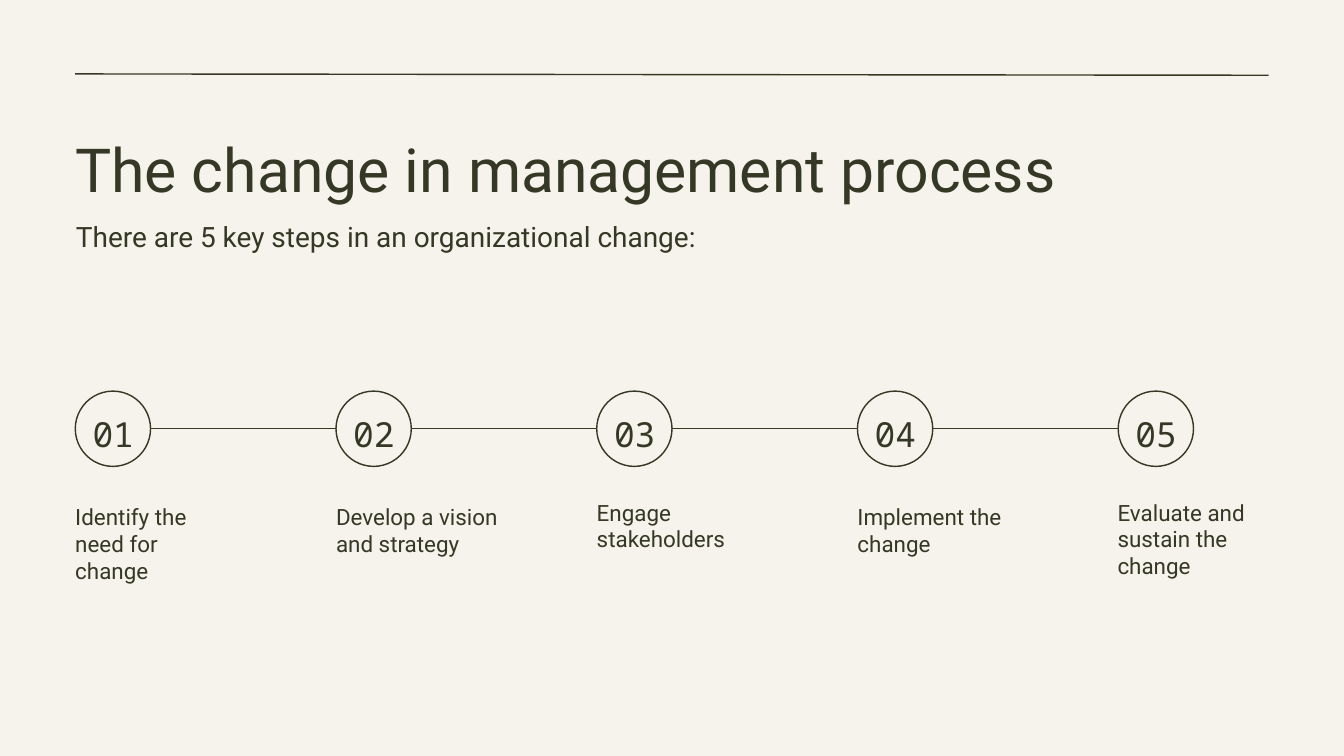
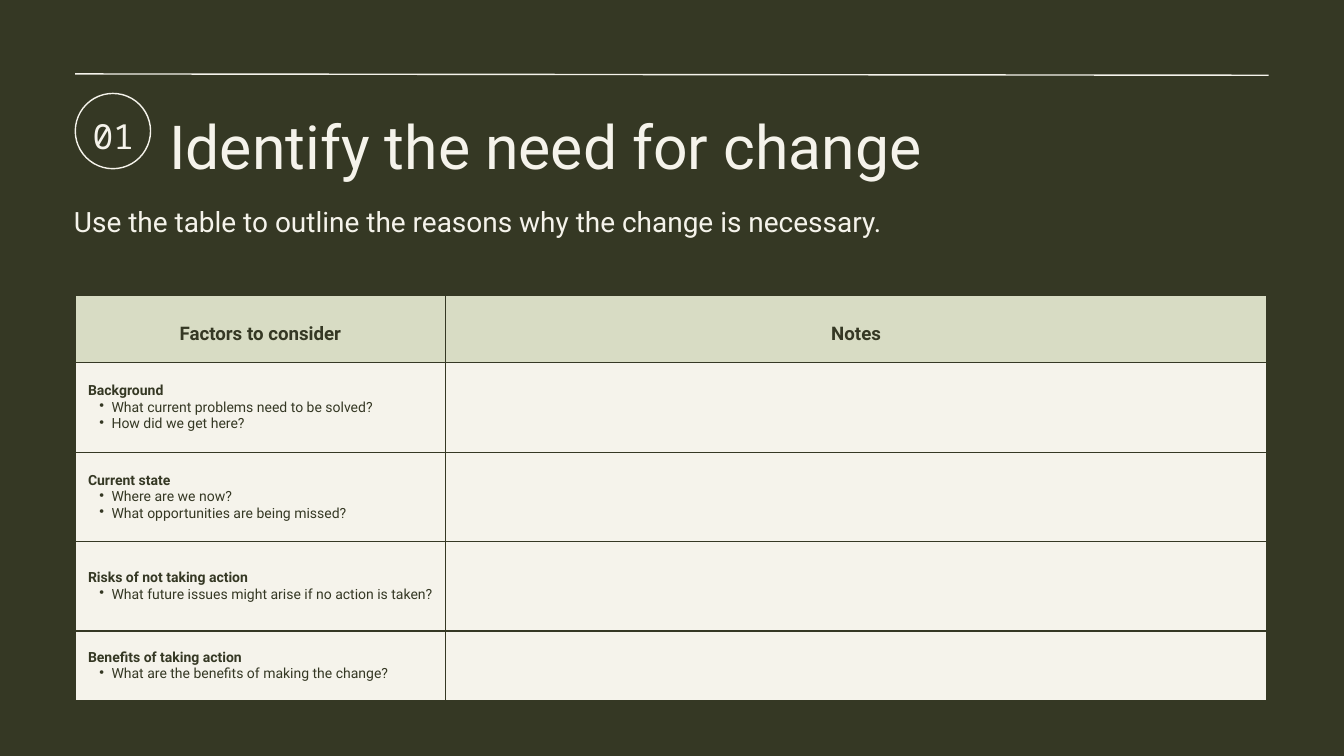
"""Build two slides on the change management process and its first step."""
from dataclasses import dataclass
from itertools import pairwise

from lxml.etree import SubElement
from pptx import Presentation
from pptx.dml.color import RGBColor
from pptx.enum.shapes import MSO_CONNECTOR, MSO_SHAPE
from pptx.enum.text import MSO_ANCHOR, MSO_AUTO_SIZE, PP_ALIGN
from pptx.oxml.ns import qn
from pptx.slide import Slide
from pptx.util import Emu, Pt

PX = 9144
DARK, LIGHT, SAGE = "353824", "F5F3EB", "D8DCC4"
SANS, MONO = "Roboto", "Noto Sans Mono"
LINE_PT = 1.5
MARGIN, CONTENT_W = 112, 1775
CIRCLE, STEP_PITCH, STEP_TOP = 112, 388, 582
CELL_INSET = 19
COL_WIDTHS = (551, 1222)
ROW_HEIGHTS = (100, 133, 133, 133, 104)


@dataclass(frozen=True)
class Box:
    x: int
    y: int
    w: int
    h: int


@dataclass(frozen=True)
class Style:
    size: int
    font: str = SANS
    bold: bool = False
    spacing: float | None = None
    align: PP_ALIGN = PP_ALIGN.LEFT


@dataclass(frozen=True)
class Step:
    label: str
    label_box: Box


@dataclass(frozen=True)
class Factor:
    name: str
    questions: tuple[str, ...]


TITLE = Style(65, spacing=1.2)
SUBTITLE = Style(30, spacing=1.4)
NUMBER = Style(37, MONO, spacing=1.4, align=PP_ALIGN.CENTER)
LABEL = Style(24)
HEADER = Style(20, bold=True, spacing=1.4, align=PP_ALIGN.CENTER)
FACTOR = Style(15, bold=True)
QUESTION = Style(15)

STEPS = (
    Step("Identify the need for change", Box(112, 749, 227, 121)),
    Step("Develop a vision and strategy", Box(500, 749, 241, 121)),
    Step("Engage stakeholders", Box(888, 742, 241, 81)),
    Step("Implement the change", Box(1276, 749, 241, 81)),
    Step("Evaluate and sustain the change", Box(1663, 742, 225, 121)),
)
HEADERS = ("Factors to consider", "Notes")
FACTORS = (
    Factor("Background", ("What current problems need to be solved?",
                          "How did we get here?")),
    Factor("Current state", ("Where are we now?",
                             "What opportunities are being missed?")),
    Factor("Risks of not taking action",
           ("What future issues might arise if no action is taken?",)),
    Factor("Benefits of taking action",
           ("What are the benefits of making the change?",)),
)


def px(n: int) -> Emu:
    return Emu(n * PX)


def rgb(color: str) -> RGBColor:
    return RGBColor.from_string(color)


def place(sp, box: Box) -> None:
    sp.left, sp.top, sp.width, sp.height = map(px, (box.x, box.y, box.w, box.h))


def write(p, text: str, style: Style, color: str) -> None:
    p.alignment = style.align
    if style.spacing:
        p.line_spacing = style.spacing
    r = p.add_run()
    r.text = text
    r.font.name, r.font.size, r.font.bold = style.font, Pt(style.size), style.bold
    r.font.color.rgb = rgb(color)


def fill_frame(tf, text: str, style: Style, color: str, anchor=MSO_ANCHOR.TOP,
               auto_size=MSO_AUTO_SIZE.SHAPE_TO_FIT_TEXT) -> None:
    tf.word_wrap, tf.vertical_anchor, tf.auto_size = True, anchor, auto_size
    tf.margin_left = tf.margin_top = tf.margin_right = tf.margin_bottom = 0
    write(tf.paragraphs[0], text, style, color)


def add_text(s: Slide, box: Box, text: str, style: Style, color: str, **frame) -> None:
    sp = s.shapes.add_textbox(*map(px, (box.x, box.y, box.w, box.h)))
    fill_frame(sp.text_frame, text, style, color, **frame)


def add_line(s: Slide, x1: int, y1: int, x2: int, y2: int, color: str) -> None:
    cxn = s.shapes.add_connector(MSO_CONNECTOR.STRAIGHT, *map(px, (x1, y1, x2, y2)))
    cxn.line.color.rgb = rgb(color)
    cxn.line.width = Pt(LINE_PT)
    SubElement(cxn._element.spPr, qn("a:effectLst"))


def add_badge(s: Slide, x: int, y: int, number: int, color: str) -> None:
    sp = s.shapes.add_shape(MSO_SHAPE.OVAL, *map(px, (x, y, CIRCLE, CIRCLE)))
    sp.shadow.inherit = False
    sp.fill.background()
    sp.line.color.rgb = rgb(color)
    sp.line.width = Pt(LINE_PT)
    add_text(s, Box(x + 11, y + 1, 91, 99), f"{number:02d}", NUMBER, color,
             anchor=MSO_ANCHOR.MIDDLE, auto_size=MSO_AUTO_SIZE.NONE)


def add_slide(prs, back: str, ink: str, title: str, title_box: Box,
              subtitle: str, subtitle_box: Box) -> Slide:
    s = prs.slides.add_slide(prs.slide_layouts[5])
    s.background.fill.solid()
    s.background.fill.fore_color.rgb = rgb(back)
    place(s.shapes.title, title_box)
    fill_frame(s.shapes.title.text_frame, title, TITLE, ink)
    add_text(s, subtitle_box, subtitle, SUBTITLE, ink)
    add_line(s, MARGIN, 110, 1888, 112, ink)
    return s


def add_bullet(p) -> None:
    p.level = 1
    pPr = p._p.get_or_add_pPr()
    pPr.set("marL", str(px(35)))
    pPr.set("indent", str(px(-18)))
    SubElement(SubElement(pPr, qn("a:buClr")), qn("a:srgbClr"), val=DARK)
    SubElement(pPr, qn("a:buChar"), char="•")


def format_cell(cell, color: str) -> None:
    tcPr = cell._tc.get_or_add_tcPr()
    for side in "LRTB":
        ln = SubElement(tcPr, qn(f"a:ln{side}"), w=str(Pt(LINE_PT)))
        SubElement(SubElement(ln, qn("a:solidFill")), qn("a:srgbClr"), val=DARK)
    cell.fill.solid()
    cell.fill.fore_color.rgb = rgb(color)
    cell.vertical_anchor = MSO_ANCHOR.MIDDLE
    cell.margin_left = cell.margin_right = px(CELL_INSET)
    cell.margin_top = cell.margin_bottom = px(CELL_INSET)


def add_factor_table(s: Slide) -> None:
    size = (sum(COL_WIDTHS), sum(ROW_HEIGHTS))
    table = s.shapes.add_table(len(ROW_HEIGHTS), len(COL_WIDTHS),
                               *map(px, (MARGIN, 440, *size))).table
    table.horz_banding = False
    for col, width in zip(table.columns, COL_WIDTHS):
        col.width = px(width)
    for i, (row, height) in enumerate(zip(table.rows, ROW_HEIGHTS)):
        row.height = px(height)
        for cell in row.cells:
            format_cell(cell, LIGHT if i else SAGE)
    for j, header in enumerate(HEADERS):
        write(table.cell(0, j).text_frame.paragraphs[0], header, HEADER, DARK)
    for i, factor in enumerate(FACTORS, 1):
        tf = table.cell(i, 0).text_frame
        write(tf.paragraphs[0], factor.name, FACTOR, DARK)
        for question in factor.questions:
            p = tf.add_paragraph()
            add_bullet(p)
            write(p, question, QUESTION, DARK)


def build_process(prs) -> None:
    s = add_slide(prs, LIGHT, DARK, "The change in management process",
                  Box(MARGIN, 174, CONTENT_W, 109),
                  "There are 5 key steps in an organizational change:",
                  Box(113, 307, CONTENT_W, 56))
    lefts = [MARGIN + i * STEP_PITCH for i in range(len(STEPS))]
    middle = STEP_TOP + CIRCLE // 2
    for left, following in pairwise(lefts):
        add_line(s, left + CIRCLE, middle, following, middle, DARK)
    for number, (left, step) in enumerate(zip(lefts, STEPS), 1):
        add_badge(s, left, STEP_TOP, number, DARK)
        add_text(s, step.label_box, step.label, LABEL, DARK)


def build_need(prs) -> None:
    s = add_slide(prs, DARK, LIGHT, STEPS[0].label, Box(252, 141, 1633, 109),
                  "Use the table to outline the reasons why the change is necessary.",
                  Box(110, 284, CONTENT_W, 56))
    add_factor_table(s)
    add_badge(s, MARGIN, 139, 1, LIGHT)


def main() -> None:
    prs = Presentation()
    prs.slide_width, prs.slide_height = px(2000), px(1125)
    build_process(prs)
    build_need(prs)
    prs.save("out.pptx")


if __name__ == "__main__":
    main()
